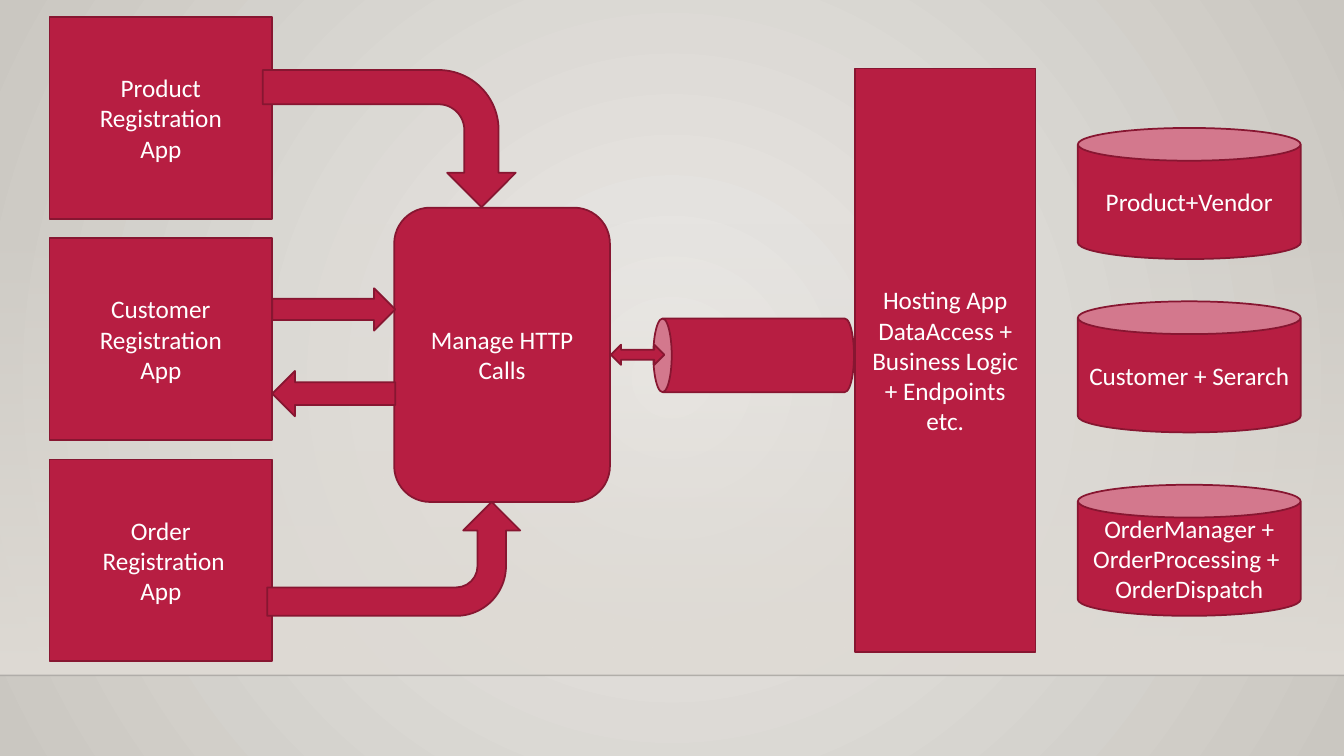
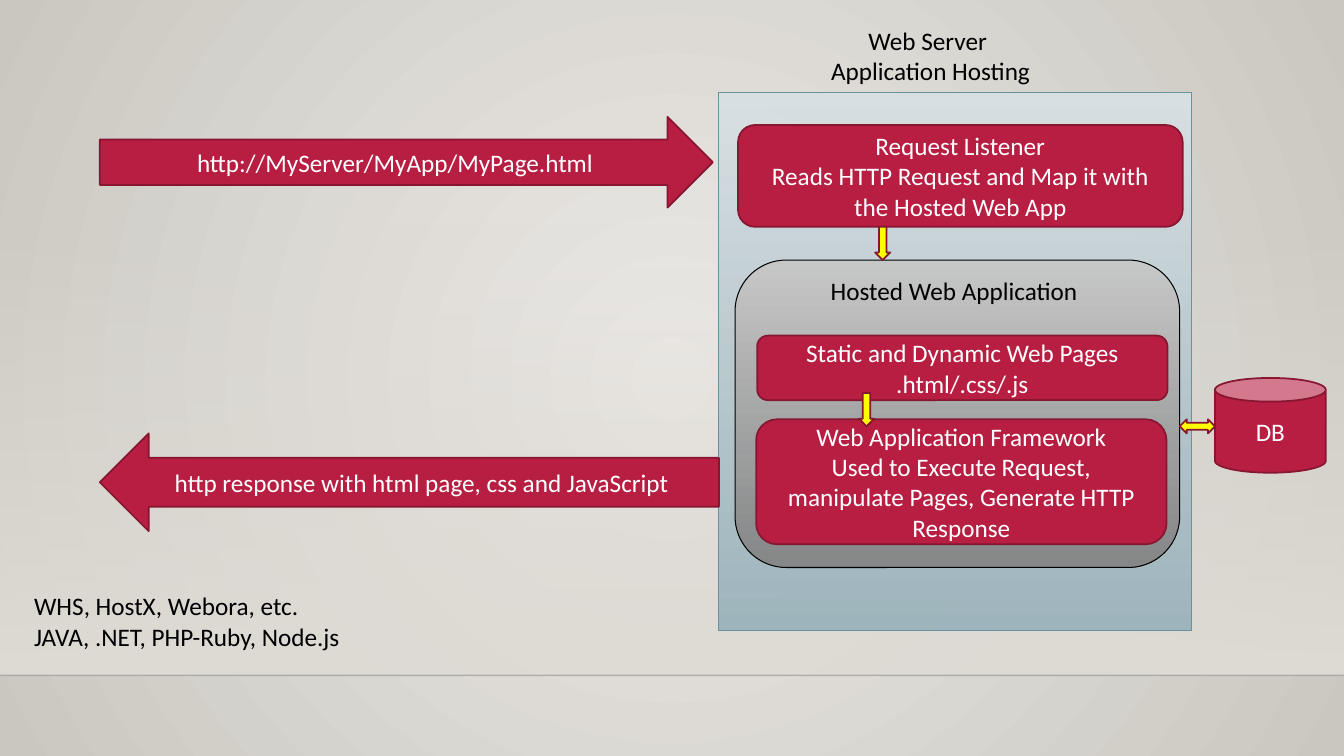
from lxml import etree
from pptx import Presentation
from pptx.dml.color import RGBColor
from pptx.enum.shapes import MSO_CONNECTOR, MSO_SHAPE
from pptx.enum.text import MSO_ANCHOR, MSO_AUTO_SIZE, PP_ALIGN
from pptx.oxml.ns import qn
from pptx.util import Inches, Pt

RECT = MSO_SHAPE.RECTANGLE
ROUND = MSO_SHAPE.ROUNDED_RECTANGLE
CAN = MSO_SHAPE.CAN
BENT = MSO_SHAPE.BENT_ARROW
RIGHT = MSO_SHAPE.RIGHT_ARROW
LEFT = MSO_SHAPE.LEFT_ARROW
DOWN = MSO_SHAPE.DOWN_ARROW
BOTH = MSO_SHAPE.LEFT_RIGHT_ARROW
CENTER = PP_ALIGN.CENTER
START = PP_ALIGN.LEFT

FONT = "Calibri"
RED, WINE, YELLOW = "B71E42", "871631", "FFFF00"
WHITE, BLACK = "FFFFFF", "000000"


def paint(fill, top, low=None):
    """Fill with one colour, or with a gradient running down from top to low."""
    if low is None:
        fill.solid()
        fill.fore_color.rgb = RGBColor.from_string(top)
        return
    fill.gradient()
    fill.gradient_angle = 270
    for stop, tint in zip(fill.gradient_stops, (top, low)):
        stop.color.rgb = RGBColor.from_string(tint)


def draw(slide, kind, box, text="", tints=(RED,), edge=WINE, width=1.25,
         ink=WHITE, align=CENTER):
    """Add a preset shape, or a text box when kind is None."""
    place = [Inches(n) for n in box]
    if kind is None:
        shape = slide.shapes.add_textbox(*place)
    else:
        shape = slide.shapes.add_shape(kind, *place)
        shape.shadow.inherit = False
        paint(shape.fill, *tints)
        if edge:
            paint(shape.line.fill, edge)
            shape.line.width = Pt(width)
        else:
            shape.line.fill.background()
    if text:
        frame = shape.text_frame
        frame.word_wrap = True
        if kind is None:
            frame.auto_size = MSO_AUTO_SIZE.SHAPE_TO_FIT_TEXT
        else:
            frame.vertical_anchor = MSO_ANCHOR.MIDDLE
        frame.text = text
        for para in frame.paragraphs:
            para.alignment = align
            for run in para.runs:
                run.font.name = FONT
                run.font.size = Pt(18)
                paint(run.font.fill, ink)
    return shape


deck = Presentation()
deck.slide_width = Inches(13.33)
deck.slide_height = Inches(7.5)
blank = deck.slide_layouts[6]
apps = deck.slides.add_slide(blank)
host = deck.slides.add_slide(blank)

# Shared backdrop: radial background, floor band and rule on the master
master = deck.slide_master
paint(master.background.fill, "ECEAE7", "CAC7C1")
grad = next(master.element.iter(qn("a:gradFill")))
grad.remove(grad.find(qn("a:lin")))
glow = etree.SubElement(grad, qn("a:path"), path="circle")
etree.SubElement(glow, qn("a:fillToRect"),
                 {side: "50000" for side in "ltrb"})

band = draw(apps, RECT, (0, 2.21, 13.33, 4.49),
            tints=("DFDBD5", "DFDBD5"), edge=None)
rule = apps.shapes.add_connector(MSO_CONNECTOR.STRAIGHT, 0, Inches(6.7),
                                 Inches(13.33), Inches(6.7))
paint(rule.line.fill, "000001")
rule.line.width = Pt(1)
etree.SubElement(rule.element.spPr, qn("a:effectLst"))
for num, part in enumerate((band, rule), 20):
    next(part.element.iter(qn("p:cNvPr"))).set("id", str(num))
    master.shapes.element.append(part.element)

# Slide 1: three apps, the call manager, the host and its stores
names = ("Product Registration\nApp", "Customer\nRegistration\nApp",
         "Order\n Registration\nApp")
for row, name in enumerate(names):
    draw(apps, RECT, (0.49, 0.17 + 2.195 * row, 2.21, 2), name)

stores = ((1.27, "Product+Vendor"), (2.99, "Customer + Serarch"),
          (4.81, "OrderManager + OrderProcessing + \nOrderDispatch"))
for top, name in stores:
    draw(apps, CAN, (10.69, top, 2.21, 1.3), name)

draw(apps, RECT, (8.48, 0.68, 1.79, 5.79),
     "Hosting App\nDataAccess + Business Logic + Endpoints etc.")
pipe = draw(apps, CAN, (7.11, 2.53, 0.73, 1.99))
pipe.rotation = 270
draw(apps, ROUND, (3.91, 2.06, 2.14, 2.92), "Manage HTTP Calls")

fall = draw(apps, BENT, (3.18, 0.12, 1.36, 2.51))
draw(apps, RIGHT, (2.7, 2.86, 1.22, 0.42))
draw(apps, LEFT, (2.7, 3.68, 1.22, 0.45))
draw(apps, BOTH, (6.06, 3.42, 0.53, 0.2))
rise = draw(apps, BENT, (3.34, 4.29, 1.13, 2.51))
for bend in (fall, rise):
    bend.rotation = 90
rise.element.spPr.xfrm.set("flipH", "1")

# Slide 2: request and response through the web server
server = draw(host, RECT, (7.13, 0.92, 4.69, 5.34),
              tints=("D9E1E4", "9AB2BC"), edge="6892A0", width=0.75)
draw(host, None, (7.51, 0.2, 3.44, 0.71),
     "Web Server \nApplication Hosting", ink=BLACK)
draw(host, ROUND, (7.32, 1.24, 4.41, 1.01),
     "Request Listener\n"
     "Reads HTTP Request and Map it with the Hosted Web App")
hosted = draw(host, ROUND, (7.29, 2.58, 4.41, 3.05),
              tints=("C8C8C8", "848484"), edge=BLACK, width=0.75)
draw(host, None, (8.14, 2.68, 2.81, 0.4), "Hosted Web Application",
     ink=BLACK, align=START)
draw(host, ROUND, (7.51, 3.33, 4.07, 0.64),
     "Static and Dynamic Web Pages\n.html/.css/.js")
draw(host, ROUND, (7.5, 4.16, 4.07, 1.24),
     "Web Application Framework\n"
     "Used to Execute Request, manipulate Pages, Generate HTTP Response")
draw(host, RIGHT, (0.99, 1.16, 6.08, 0.9),
     "http://MyServer/MyApp/MyPage.html")
for left, top in ((8.68, 2.25), (8.52, 3.9)):
    draw(host, DOWN, (left, top, 0.15, 0.33), tints=(YELLOW,))
draw(host, LEFT, (0.99, 4.3, 6.14, 0.97),
     "http response with html page, css and JavaScript")
draw(host, None, (0.24, 5.81, 6.13, 0.71),
     "WHS, HostX, Webora, etc.\nJAVA, .NET, PHP-Ruby, Node.js",
     ink=BLACK, align=START)
draw(host, CAN, (12.05, 3.75, 1.1, 0.94), "DB")
draw(host, BOTH, (11.7, 4.16, 0.35, 0.14), tints=(YELLOW,))

# Opacity in percent of the colour at the given place in each shape
for part, spot, share in ((band, 0, 0), (rule, 0, 20),
                          (server, 1, 92), (hosted, 1, 92)):
    tint = list(part.element.iter(qn("a:srgbClr")))[spot]
    etree.SubElement(tint, qn("a:alpha"), val=str(share * 1000))

deck.save("out.pptx")
